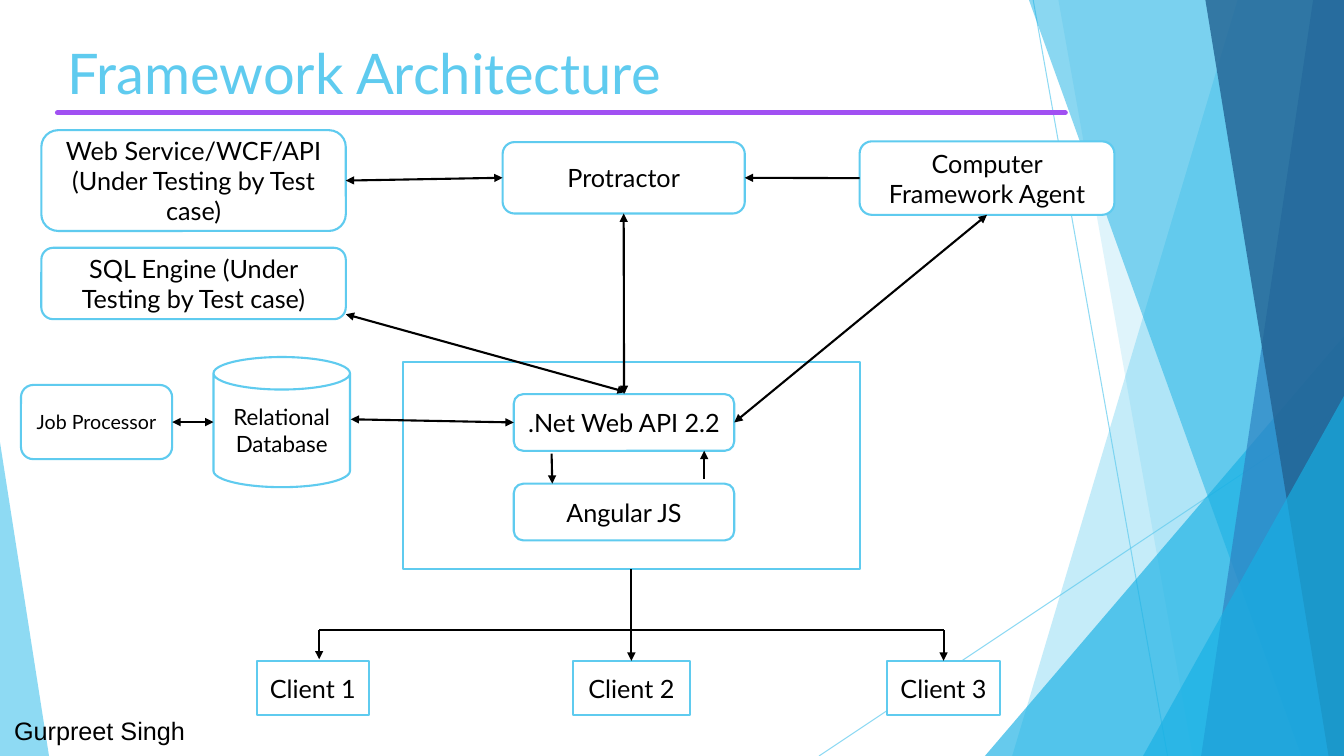
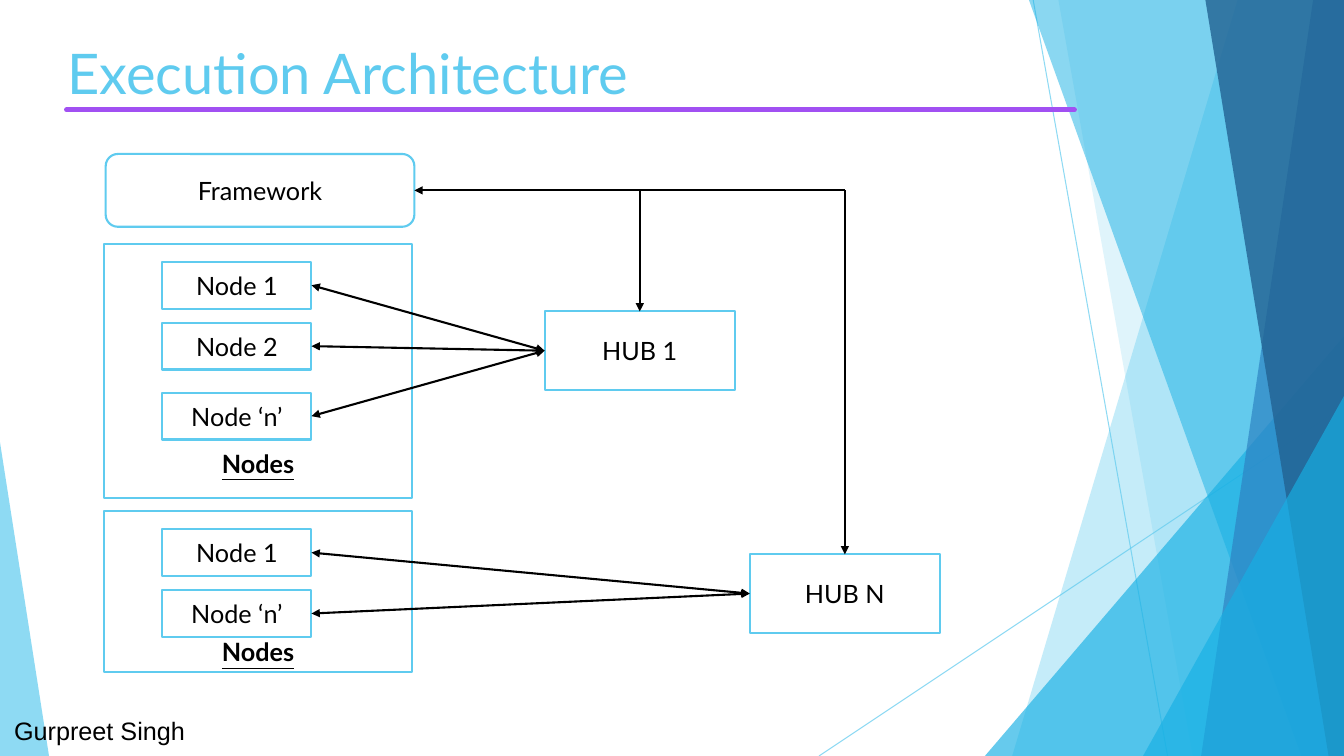
from collections import namedtuple

from lxml import etree
from pptx import Presentation
from pptx.dml.color import RGBColor
from pptx.enum.shapes import MSO_CONNECTOR, MSO_SHAPE
from pptx.enum.text import MSO_ANCHOR, MSO_AUTO_SIZE, PP_ALIGN
from pptx.oxml.ns import qn
from pptx.util import Pt

WIDTH, HEIGHT = 960, 540
SKY = RGBColor(0x5F, 0xCB, 0xEF)
CYAN = RGBColor(0x17, 0xB0, 0xE4)
BLUE = RGBColor(0x2E, 0x83, 0xC3)
NAVY = RGBColor(0x22, 0x62, 0x92)
PURPLE = RGBColor(0xA1, 0x50, 0xF2)
WHITE = RGBColor(0xFF, 0xFF, 0xFF)
BLACK = RGBColor(0x00, 0x00, 0x00)

RECT, ROUND = MSO_SHAPE.RECTANGLE, MSO_SHAPE.ROUNDED_RECTANGLE
CAN, TRIANGLE = MSO_SHAPE.CAN, MSO_SHAPE.ISOSCELES_TRIANGLE
STRAIGHT = MSO_CONNECTOR.STRAIGHT
LEFT_ALIGN, CENTER = PP_ALIGN.LEFT, PP_ALIGN.CENTER
TOP_ANCHOR, MIDDLE, BOTTOM_ANCHOR = MSO_ANCHOR.TOP, MSO_ANCHOR.MIDDLE, MSO_ANCHOR.BOTTOM
NO_FIT, GROW = MSO_AUTO_SIZE.NONE, MSO_AUTO_SIZE.SHAPE_TO_FIT_TEXT
TOP, LEFT, BOTTOM, RIGHT = range(4)

Joint = namedtuple("Joint", "box side")


def points(*values):
    return [Pt(value) for value in values]


def write(box, text, size=18, font="Lato", color=BLACK, align=CENTER,
          anchor=MIDDLE, bold=False, underline=False, wrap=True, fit=NO_FIT):
    """Fill a shape with text, one paragraph for each line of it."""
    frame = box.text_frame
    frame.word_wrap = wrap
    frame.auto_size = fit
    frame.vertical_anchor = anchor
    for index, line in enumerate(text.split("\n")):
        para = frame.add_paragraph() if index else frame.paragraphs[0]
        para.alignment = align
        span = para.add_run()
        span.text = line
        span.font.name = font
        span.font.size = Pt(size)
        span.font.color.rgb = color
        span.font.bold = bold
        span.font.underline = underline


def set_opacity(shape, percent):
    """Make the first colour of a shape or connector see-through."""
    color = shape.element.spPr.find(".//" + qn("a:srgbClr"))
    etree.SubElement(color, qn("a:alpha")).set("val", str(percent * 1000))


class DiagramDeck:
    """Holds the deck, its style and the page being drawn."""

    def __init__(self):
        self.deck = Presentation()
        self.deck.slide_width, self.deck.slide_height = points(WIDTH, HEIGHT)
        self.layout = self.deck.slide_layouts[5]
        self.page = None

    def start_page(self, title, rule_left, rule_top):
        self.page = self.deck.slides.add_slide(self.layout)
        if len(self.deck.slides) == 1:
            self.decorate_master()
        heading = self.page.shapes.title
        heading.left, heading.top, heading.width, heading.height = points(41, 23, 761, 57.5)
        write(heading, title, size=40, color=SKY, align=LEFT_ALIGN)
        self.line((rule_left, rule_top), (rule_left + 720, rule_top),
                  color=PURPLE, weight=3.5, cap="rnd")
        author = self.page.shapes.add_textbox(*points(3, 507.5, 137.5, 29))
        write(author, "Gurpreet Singh", font="Arial", align=LEFT_ALIGN,
              anchor=TOP_ANCHOR, wrap=False, fit=GROW)

    def decorate_master(self):
        """Draw the coloured facets and move them to the master."""
        facets = [
            self.line((738, 0), (834, HEIGHT), color=SKY, weight=0.75, opacity=70),
            self.line((WIDTH, 290), (585, HEIGHT), color=SKY, weight=0.75, opacity=70),
            self.band(884, 723, SKY, 36),
            self.band(756, 852, SKY, 20),
            self.triangle(703.5, 240, 256.5, 1, CYAN, 66),
            self.band(735, 929.5, CYAN, 50),
            self.band(938, 858, BLUE, 70),
            self.band(861, 949, NAVY, 80),
            self.triangle(816.5, 283, 143.5, 1, CYAN, 66),
            self.triangle(0, 316, 35, 0, SKY, 70),
        ]
        tree = self.deck.slide_master.shapes.element
        for number, facet in enumerate(facets, 101):
            facet.element.xpath(".//p:cNvPr")[0].set("id", str(number))
            tree.append(facet.element)

    def paint(self, shape, color, opacity):
        shape.shadow.inherit = False
        shape.fill.solid()
        shape.fill.fore_color.rgb = color
        shape.line.fill.background()
        set_opacity(shape, opacity)
        return shape

    def band(self, top_x, bottom_x, color, opacity):
        """Fill from a slanted edge to the right edge of the page."""
        outline = self.page.shapes.build_freeform(Pt(top_x), 0)
        corners = [(WIDTH, 0), (WIDTH, HEIGHT), (bottom_x, HEIGHT)]
        outline.add_line_segments([points(*corner) for corner in corners])
        return self.paint(outline.convert_to_shape(), color, opacity)

    def triangle(self, left, top, width, apex, color, opacity):
        """Draw a triangle standing on the bottom edge of the page."""
        shape = self.page.shapes.add_shape(
            TRIANGLE, *points(left, top, width, HEIGHT - top))
        shape.adjustments[0] = apex
        return self.paint(shape, color, opacity)

    def box(self, left, top, width, height, text="", kind=RECT, size=18):
        shape = self.page.shapes.add_shape(kind, *points(left, top, width, height))
        shape.shadow.inherit = False
        shape.fill.solid()
        shape.fill.fore_color.rgb = WHITE
        shape.line.color.rgb = SKY
        shape.line.width = Pt(1.5)
        if text:
            write(shape, text, size=size)
        return shape

    def pool(self, top, height, label_gap):
        """Draw a frame for nodes, its label label_gap above the bottom."""
        frame = self.box(74, top, 220.5, height)
        write(frame, "Nodes", anchor=BOTTOM_ANCHOR, bold=True, underline=True)
        frame.text_frame.margin_bottom = Pt(label_gap)

    def line(self, start, end, color=BLACK, weight=1.5, head=False, tail=False,
             cap="flat", opacity=None):
        """Draw a line; each end is an (x, y) point or a Joint."""
        ends = [(0, 0) if isinstance(spot, Joint) else spot for spot in (start, end)]
        connector = self.page.shapes.add_connector(STRAIGHT, *points(*ends[0], *ends[1]))
        if isinstance(start, Joint):
            connector.begin_connect(start.box, start.side)
        if isinstance(end, Joint):
            connector.end_connect(end.box, end.side)
        connector.line.color.rgb = color
        connector.line.width = Pt(weight)
        properties = connector.element.spPr
        stroke = properties.find(qn("a:ln"))
        stroke.set("cap", cap)
        for wanted, tag in ((head, "a:headEnd"), (tail, "a:tailEnd")):
            if wanted:
                etree.SubElement(stroke, qn(tag)).set("type", "triangle")
        etree.SubElement(properties, qn("a:effectLst"))
        if opacity:
            set_opacity(connector, opacity)
        return connector

    def arrow(self, start, end):
        self.line(start, end, tail=True)

    def double_arrow(self, start, end):
        self.line(start, end, head=True, tail=True)


def draw_framework(deck):
    deck.start_page("Framework Architecture", 41, 80.5)
    job = deck.box(15, 275, 108, 53, "Job Processor", ROUND, size=14)
    deck.box(152.5, 255, 97.5, 93, "Relational\nDatabase", CAN, size=16)
    server = deck.box(288, 258.5, 326, 148)
    web_api = deck.box(367, 281.5, 157.5, 40.5, ".Net Web API 2.2", ROUND)
    deck.box(367, 345.5, 157.5, 40.5, "Angular JS", ROUND)
    agent = deck.box(614, 101, 182, 52.5, "Computer Framework Agent", ROUND)
    protractor = deck.box(359, 101.5, 173, 51, "Protractor", ROUND)
    deck.box(29.5, 177, 217.5, 51, "SQL Engine (Under Testing by Test case)", ROUND)
    service = deck.box(29.5, 93, 217.5, 72,
                       "Web Service/WCF/API (Under Testing by Test case)", ROUND)

    deck.double_arrow((152.5, 301.5), Joint(job, RIGHT))
    deck.double_arrow((250.5, 299.5), Joint(web_api, LEFT))
    deck.double_arrow(Joint(protractor, BOTTOM), Joint(web_api, TOP))
    deck.double_arrow(Joint(agent, BOTTOM), Joint(web_api, RIGHT))
    deck.double_arrow((447, 280), (247, 224.5))
    deck.double_arrow(Joint(protractor, LEFT), Joint(service, RIGHT))
    deck.arrow(Joint(agent, LEFT), Joint(protractor, RIGHT))
    deck.arrow((503, 342), (503, 322))
    deck.arrow((394, 324), (394.5, 345.5))

    bus = 450
    deck.line(Joint(server, BOTTOM), (451, bus))
    deck.line((228, bus), (674, bus))
    deck.box(183.5, 472, 80, 39, "Client 1")
    deck.arrow((228, bus), (228, 471))
    for text, center, width in (("Client 2", 451, 84), ("Client 3", 674, 81)):
        client = deck.box(center - width / 2, 472, width, 39, text)
        deck.arrow((center, bus), Joint(client, TOP))


def draw_execution(deck):
    deck.start_page("Execution Architecture", 47.5, 78.5)
    framework = deck.box(75.5, 110, 220.5, 52, "Framework", ROUND)
    deck.arrow((603.5, 136), Joint(framework, RIGHT))
    clusters = (
        ("HUB 1", 389, 222.5, (174, 181.5, 14),
         (("Node 1", 187), ("Node 2", 230.5), ("Node ‘n’", 280.5))),
        ("HUB N", 535.5, 396, (365, 115, 3.6),
         (("Node 1", 378), ("Node ‘n’", 421.5))),
    )
    for name, left, top, pool, nodes in clusters:
        hub = deck.box(left, top, 136, 56, name)
        deck.arrow((left + 68, 136), Joint(hub, TOP))
        deck.pool(*pool)
        for text, node_top in nodes:
            node = deck.box(116, node_top, 106.5, 33.5, text)
            deck.double_arrow(Joint(node, RIGHT), Joint(hub, LEFT))


def main():
    deck = DiagramDeck()
    draw_framework(deck)
    draw_execution(deck)
    deck.deck.save("out.pptx")


if __name__ == "__main__":
    main()
